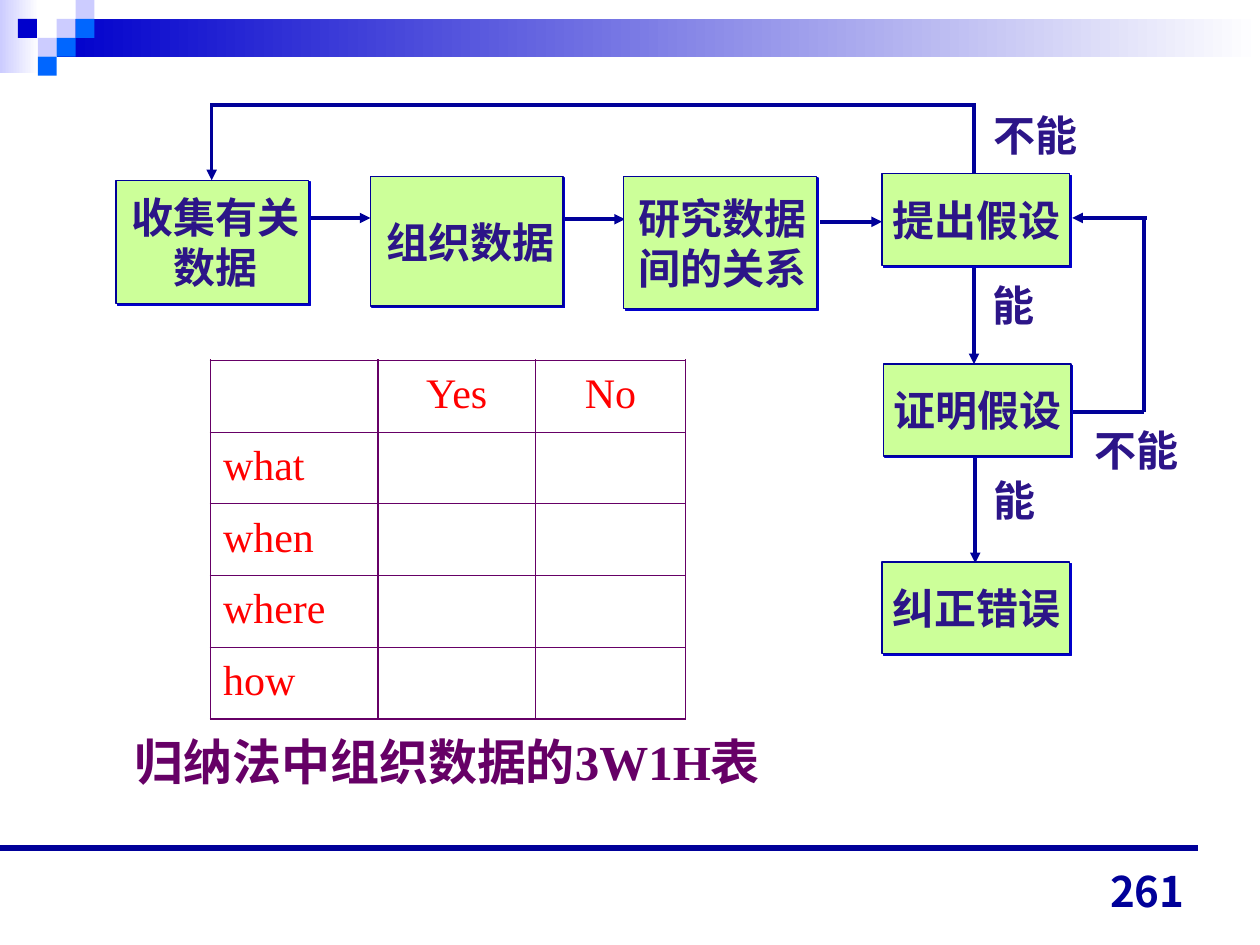
from lxml import etree
from pptx import Presentation
from pptx.dml.color import RGBColor
from pptx.enum.shapes import MSO_CONNECTOR, MSO_SHAPE
from pptx.enum.text import MSO_ANCHOR, PP_ALIGN
from pptx.oxml.ns import qn
from pptx.util import Inches, Pt

RECTANGLE = MSO_SHAPE.RECTANGLE
STRAIGHT = MSO_CONNECTOR.STRAIGHT
LEFT, CENTER, RIGHT = PP_ALIGN.LEFT, PP_ALIGN.CENTER, PP_ALIGN.RIGHT
TOP, MIDDLE, BOTTOM = MSO_ANCHOR.TOP, MSO_ANCHOR.MIDDLE, MSO_ANCHOR.BOTTOM

WHITE = RGBColor(0xFF, 0xFF, 0xFF)
LAVENDER = RGBColor(0xCC, 0xCC, 0xFF)
BLUE = RGBColor(0x00, 0x00, 0xCC)
BRIGHT_BLUE = RGBColor(0x00, 0x66, 0xFF)
NAVY = RGBColor(0x00, 0x00, 0x99)
INDIGO = RGBColor(0x2C, 0x15, 0x88)
GREEN = RGBColor(0xCC, 0xFF, 0x99)
PURPLE = RGBColor(0x66, 0x00, 0x66)
RED = RGBColor(0xFF, 0x00, 0x00)

SERIF = "Times New Roman"
SANS = "Noto Sans CJK JP"

# The slide is a grid of 100 columns by 75 rows.
COLUMNS, ROWS = 100, 75
SQUARE = 1.5

BOX_COLUMN, BOX_WIDTH, BOX_HEIGHT = 70, 14.9, 7.3
WIDE_BOX = 15.3
SPINE = 77.3
COLLECT_CENTER = 16.8
RETURN_COLUMN = 90.8

STEPS = [  # text, column, row, width, height, left inset
    ("提出假设", BOX_COLUMN, 13.8, BOX_WIDTH, BOX_HEIGHT, 0.1),
    ("证明假设", BOX_COLUMN + 0.1, 28.9, BOX_WIDTH, BOX_HEIGHT, 0),
    ("纠正错误", BOX_COLUMN, 44.6, BOX_WIDTH, BOX_HEIGHT, 0.1),
    ("研究数据\n间的关系", 49.5, 14, WIDE_BOX, 10.5, 0.4),
    ("组织数据", 29.4, 14, WIDE_BOX, 10.3, 0.6),
    ("收集有关\n数据", 9.2, 14.3, WIDE_BOX, 9.8, 0.5),
]
LINES = [  # start column, start row, end column, end row, width, arrow
    (SPINE, 8.3, COLLECT_CENTER, 8.3, 2.25, False),
    (SPINE, 8.2, SPINE, 13.7, 2, False),
    (COLLECT_CENTER, 8.2, COLLECT_CENTER, 14.3, 2, True),
    (SPINE, 21.1, SPINE, 28.9, 2, True),
    (SPINE + 0.1, 36.1, SPINE + 0.1, 44.7, 2, True),
    (RETURN_COLUMN + 0.2, 17.3, 85.1, 17.3, 2, True),
    (RETURN_COLUMN, 17.3, RETURN_COLUMN, 32.7, 2.25, False),
    (RETURN_COLUMN, 32.7, 85.2, 32.7, 2.25, False),
    (24.5, 17.3, 29.4, 17.3, 2, True),
    (44.7, 17.4, 49.6, 17.4, 2, True),
    (65.1, 17.6, 70, 17.6, 2, True),
]
SHORT_LABEL, LONG_LABEL = 5.8, 9.2
LABELS = [  # text, column, row, width
    ("不能", 77.9, 8.2, LONG_LABEL),
    ("能", 77.8, 21.7, SHORT_LABEL),
    ("不能", 85.9, 33.2, LONG_LABEL),
    ("能", 77.9, 37.2, SHORT_LABEL),
]
SQUARES = [  # colour, column and row counted in squares
    (LAVENDER, 3, 1), (LAVENDER, 4, 0), (BRIGHT_BLUE, 4, 1),
    (LAVENDER, 2, 2), (BLUE, 0.95, 1), (BRIGHT_BLUE, 3, 2),
    (BRIGHT_BLUE, 2, 3),
]
TABLE_HEADER = ["", "Yes", "No"]
QUESTIONS = ["what", "when", "where", "how"]
TABLE_WIDTHS = [13.3, 12.5, 11.9]
TABLE_ROW = 5.7


def grid(*lengths):
    return [Inches(length / 10) for length in lengths]


def add_rectangle(slide, color, *place):
    shape = slide.shapes.add_shape(RECTANGLE, *grid(*place))
    shape.shadow.inherit = False
    shape.fill.solid()
    shape.fill.fore_color.rgb = color
    shape.line.fill.background()
    return shape


def add_fade(slide, color, *place):
    """Rectangle that fades from the colour at its left to white."""
    shape = add_rectangle(slide, color, *place)
    shape.fill.gradient()
    shape.fill.gradient_angle = 180
    for stop, stop_color in zip(shape.fill.gradient_stops, (WHITE, color)):
        stop.color.rgb = stop_color


def write(frame, text, size, color, name=SERIF, bold=True, align=LEFT):
    frame.text = text
    for paragraph in frame.paragraphs:
        paragraph.alignment = align
        font = paragraph.font
        font.name, font.size, font.bold = name, Pt(size), bold
        font.color.rgb = color


def add_text(slide, text, size, color, place, anchor=TOP, **style):
    frame = slide.shapes.add_textbox(*grid(*place)).text_frame
    frame.word_wrap = True
    frame.vertical_anchor = anchor
    write(frame, text, size, color, **style)


def add_step(slide, text, column, row, width, height, inset):
    shape = add_rectangle(slide, GREEN, column, row, width, height)
    shape.line.color.rgb = NAVY
    shape.line.width = Pt(0.75)
    effects = shape._element.spPr.find(qn("a:effectLst"))
    shadow = etree.SubElement(effects, qn("a:outerShdw"), blurRad="0",
                              dist=str(Pt(1.4)), dir="2700000",
                              algn="ctr", rotWithShape="0")
    etree.SubElement(shadow, qn("a:srgbClr"), val=str(BLUE))
    frame = shape.text_frame
    frame.word_wrap = False
    frame.vertical_anchor = MIDDLE
    frame.margin_left, frame.margin_right = grid(inset, 0)
    write(frame, text, 24, INDIGO, align=CENTER)


def add_line(slide, start_x, start_y, end_x, end_y, width, arrow=False):
    line = slide.shapes.add_connector(
        STRAIGHT, *grid(start_x, start_y, end_x, end_y))
    line.line.color.rgb = NAVY
    line.line.width = Pt(width)
    if arrow:
        etree.SubElement(line.line._get_or_add_ln(), qn("a:tailEnd"),
                         type="triangle")
    etree.SubElement(line._element.spPr, qn("a:effectLst"))


def set_borders(cell, outer_sides):
    properties = cell._tc.get_or_add_tcPr()
    for side in "LRTB":
        width = 1.08 if side in outer_sides else 0.75
        border = etree.SubElement(properties, qn(f"a:ln{side}"),
                                  w=str(Pt(width)))
        fill = etree.SubElement(border, qn("a:solidFill"))
        etree.SubElement(fill, qn("a:srgbClr"), val=str(PURPLE))


def add_question_table(slide):
    rows = [TABLE_HEADER] + [[question, "", ""] for question in QUESTIONS]
    place = grid(16.7, 28.6, sum(TABLE_WIDTHS), TABLE_ROW * len(rows))
    table = slide.shapes.add_table(
        len(rows), len(TABLE_WIDTHS), *place).table
    table.first_row = table.horz_banding = False
    for column, width in zip(table.columns, grid(*TABLE_WIDTHS)):
        column.width = width
    last_row, last_column = len(rows) - 1, len(TABLE_WIDTHS) - 1
    for i, texts in enumerate(rows):
        for j, text in enumerate(texts):
            cell = table.cell(i, j)
            edges = {"L": j == 0, "R": j == last_column,
                     "T": i == 0, "B": i == last_row}
            set_borders(cell, [side for side in edges if edges[side]])
            cell.fill.background()
            if text:
                write(cell.text_frame, text, 24, RED, bold=False,
                      align=CENTER if i == 0 else LEFT)
                cell.text_frame.paragraphs[0].line_spacing = 1.1


def add_decoration(slide):
    add_fade(slide, LAVENDER, 0, 0, 3.1, 5.8)
    add_fade(slide, BLUE, 3 * SQUARE, SQUARE, 95.5, 2 * SQUARE)
    for color, column, row in SQUARES:
        add_rectangle(slide, color, column * SQUARE, row * SQUARE,
                      SQUARE, SQUARE)
    add_line(slide, 0, 67.3, 95.1, 67.3, 3.25)


def main():
    presentation = Presentation()
    presentation.slide_width, presentation.slide_height = grid(COLUMNS, ROWS)
    slide = presentation.slides.add_slide(presentation.slide_layouts[6])
    add_decoration(slide)
    for line in LINES:
        add_line(slide, *line)
    for step in STEPS:
        add_step(slide, *step)
    for text, column, row, width in LABELS:
        add_text(slide, text, 24, INDIGO, (column, row, width, 5))
    add_question_table(slide)
    add_text(slide, "归纳法中组织数据的3W1H表", 28, PURPLE,
             (9.7, 57.6, 55, 5.7))
    add_text(slide, "261", 24, NAVY, (71.7, 68.2, 23.3, 5), anchor=BOTTOM,
             name=SANS, align=RIGHT)
    presentation.save("out.pptx")


if __name__ == "__main__":
    main()
